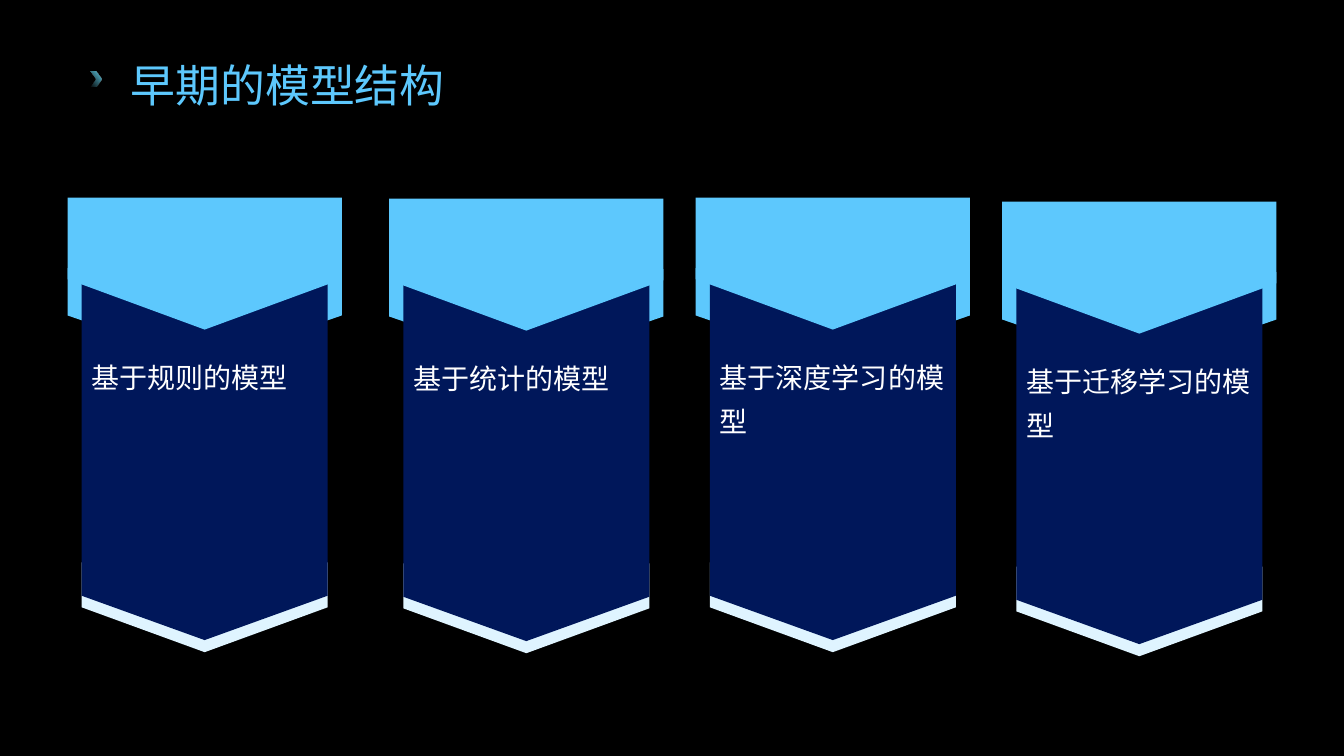
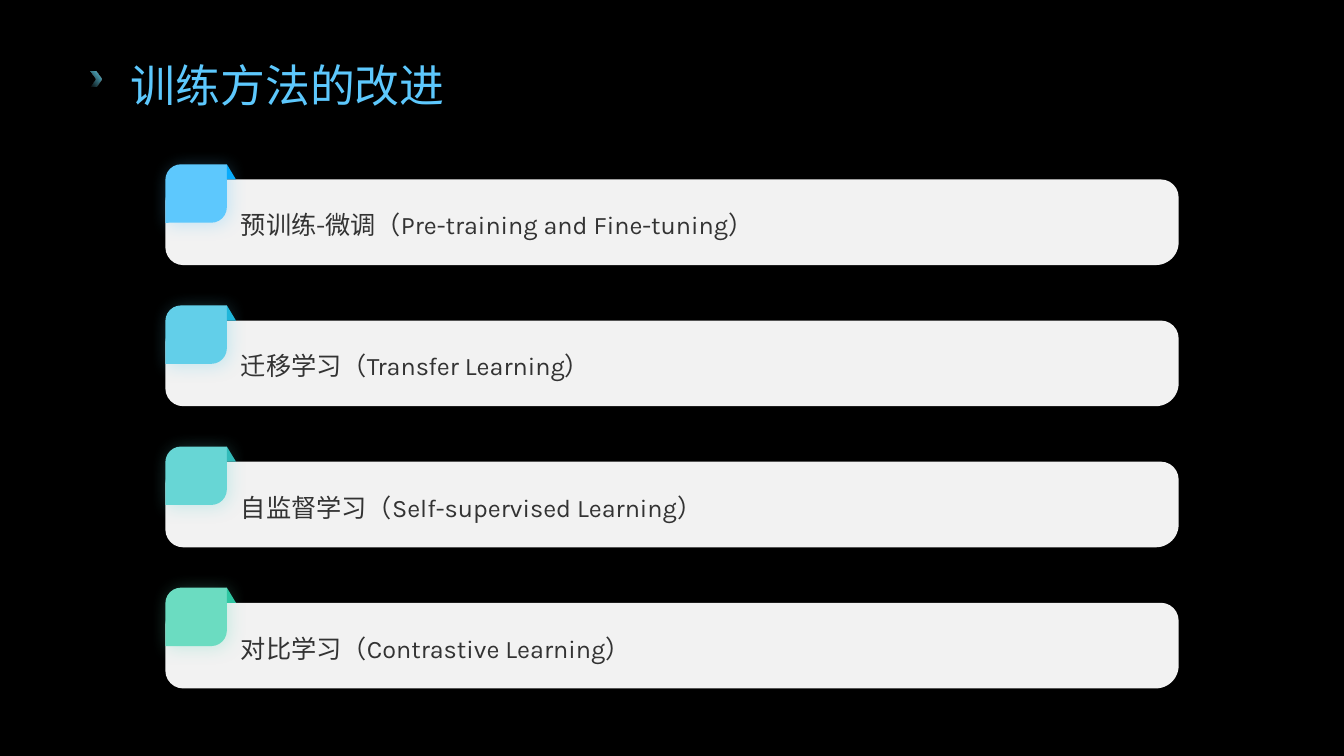
"""Build two dark slides on early model structures and better training methods."""
from dataclasses import dataclass

from lxml.etree import SubElement
from pptx import Presentation
from pptx.dml.color import RGBColor
from pptx.enum.shapes import MSO_SHAPE as Shape
from pptx.enum.text import MSO_ANCHOR as Anchor
from pptx.oxml.ns import qn
from pptx.util import Inches, Pt


@dataclass(frozen=True)
class Theme:
    font: str = "Karla"
    background: str = "000000"
    sky: str = "5DC8FD"
    aqua: str = "62CFE9"
    navy: str = "00175A"
    ice: str = "DFF4FF"
    card: str = "F2F2F2"
    light_text: str = "FFFFFF"
    dark_text: str = "333333"
    title_size: int = 32
    banner_size: int = 20
    card_size: int = 18


BANNERS = (
    (0.67, 1.96, "基于规则的模型"),
    (3.86, 1.97, "基于统计的模型"),
    (6.9, 1.96, "基于深度学习的模型"),
    (9.94, 2.0, "基于迁移学习的模型"),
)
METHODS = (
    ("5DC8FD", "08ABFC", "预训练-微调（Pre-training and Fine-tuning）"),
    ("62CFE9", "1FB6DA", "迁移学习（Transfer Learning）"),
    ("67D6D5", "33BBBA", "自监督学习（Self-supervised Learning）"),
    ("6BDCC1", "2FC6A2", "对比学习（Contrastive Learning）"),
)


def write(frame, text, *, font, size, color, spacing, anchor=Anchor.TOP,
          insets=(0.1, 0.05, 0.1, 0.05)):
    frame.word_wrap = True
    frame.vertical_anchor = anchor
    (frame.margin_left, frame.margin_top,
     frame.margin_right, frame.margin_bottom) = map(Inches, insets)
    paragraph = frame.paragraphs[0]
    paragraph.line_spacing = spacing
    run = paragraph.add_run()
    run.text = text
    run.font.name = font
    run.font.size = Pt(size)
    run.font.color.rgb = RGBColor.from_string(color)


class Deck:
    def __init__(self, theme):
        self.theme = theme
        self.presentation = Presentation()
        self.presentation.slide_width = Inches(13.33)
        self.presentation.slide_height = Inches(7.5)
        self.slide = None

    def start_slide(self, title):
        theme = self.theme
        self.slide = self.presentation.slides.add_slide(
            self.presentation.slide_layouts[6])
        fill = self.slide.background.fill
        fill.solid()
        fill.fore_color.rgb = RGBColor.from_string(theme.background)
        self.title_mark()
        self.text(1.2, 0.45, 11.46, 0.67, title, size=theme.title_size,
                  color=theme.sky, spacing=1.2, anchor=Anchor.MIDDLE,
                  insets=(0.1, 0, 0.1, 0))

    def paint(self, shape, color):
        shape.fill.solid()
        shape.fill.fore_color.rgb = RGBColor.from_string(color)
        shape.line.fill.background()
        shape.shadow.inherit = False
        return shape

    def shape(self, kind, left, top, width, height, color, adjustments=()):
        shape = self.slide.shapes.add_shape(
            kind, *map(Inches, (left, top, width, height)))
        for index, value in enumerate(adjustments):
            shape.adjustments[index] = value
        return self.paint(shape, color)

    def text(self, left, top, width, height, text, **style):
        box = self.slide.shapes.add_textbox(
            *map(Inches, (left, top, width, height)))
        write(box.text_frame, text, font=self.theme.font, **style)

    def title_mark(self):
        chevron = self.shape(Shape.CHEVRON, 0.9, 0.71, 0.11, 0.15, self.theme.aqua)
        chevron.fill.gradient()
        chevron.fill.gradient_angle = 45
        for stop in chevron.fill.gradient_stops:
            stop.color.rgb = RGBColor.from_string(self.theme.aqua)
        first_color = next(chevron._element.spPr.iter(qn("a:srgbClr")))
        SubElement(first_color, qn("a:alpha"), val="0")

    def drop_shadow(self, shape, color, opacity, blur, distance, angle):
        effects = shape._element.spPr.find(qn("a:effectLst"))
        shadow = SubElement(
            effects, qn("a:outerShdw"), blurRad=str(Pt(blur)),
            dist=str(Pt(distance)), dir=str(angle * 60000), rotWithShape="0")
        rgb = SubElement(shadow, qn("a:srgbClr"), val=color)
        SubElement(rgb, qn("a:alpha"), val=str(opacity * 1000))

    def down_plate(self, left, top, width, height, color):
        plate = self.shape(
            Shape.PENTAGON, left + (width - height) / 2,
            top + (height - width) / 2, height, width, color)
        plate.rotation = 90

    def pennant(self, left, top, width, height, tip, color):
        right, bottom = left + width, top + height
        points = [(right, top), (right, bottom - tip), (left + width / 2, bottom),
                  (left, bottom - tip)]
        builder = self.slide.shapes.build_freeform(
            Inches(left), Inches(top), scale=1.0)
        builder.add_line_segments(
            [(Inches(x), Inches(y)) for x, y in points], close=True)
        self.paint(builder.convert_to_shape(), color)

    def banner(self, left, top, label):
        theme = self.theme
        inner = left + 0.14
        self.down_plate(left, top + 0.7, 2.72, 0.94, theme.sky)
        self.down_plate(inner, top + 3.62, 2.44, 0.89, theme.ice)
        self.pennant(inner, top + 0.7, 2.44, 3.69, 0.44, theme.navy)
        self.pennant(left, top, 2.72, 1.31, 0.5, theme.sky)
        self.text(inner, top + 1.47, 2.44, 2.2, label, size=theme.banner_size,
                  color=theme.light_text, spacing=1.3)

    def method_card(self, left, top, tab_color, fold_color, label):
        theme = self.theme
        card = self.shape(Shape.ROUND_2_DIAG_RECTANGLE, left, top + 0.15,
                          10.05, 0.85, theme.card, (0.267, 0.208))
        self.drop_shadow(card, "000000", 23, 20, 3, 107)
        tab = self.shape(Shape.ROUND_2_DIAG_RECTANGLE, left, top,
                         0.61, 0.58, tab_color, (0.267, 0))
        self.drop_shadow(tab, tab_color, 31, 13, 2, 45)
        self.shape(Shape.RIGHT_TRIANGLE, left + 0.61, top, 0.09, 0.15, fold_color)
        self.text(left + 0.65, top + 0.17, 9.08, 0.83, label,
                  size=theme.card_size, color=theme.dark_text, spacing=1.5,
                  anchor=Anchor.MIDDLE, insets=(0.1, 0, 0.1, 0.12))


def main():
    deck = Deck(Theme())
    deck.start_slide("早期的模型结构")
    for left, top, label in BANNERS:
        deck.banner(left, top, label)
    deck.start_slide("训练方法的改进")
    for index, (tab_color, fold_color, label) in enumerate(METHODS):
        deck.method_card(1.64, 1.63 + 1.4 * index, tab_color, fold_color, label)
    deck.presentation.save("out.pptx")


if __name__ == "__main__":
    main()
